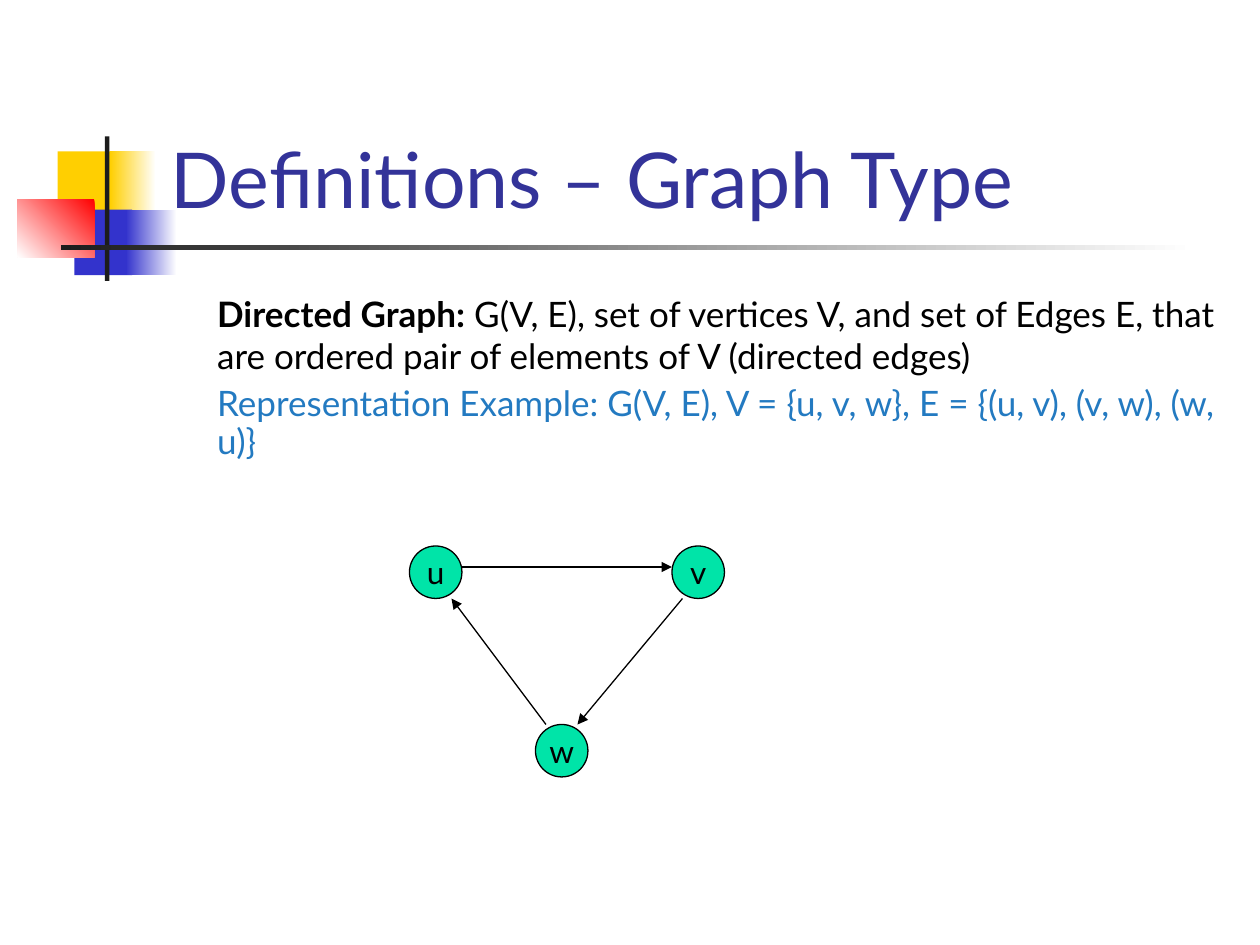
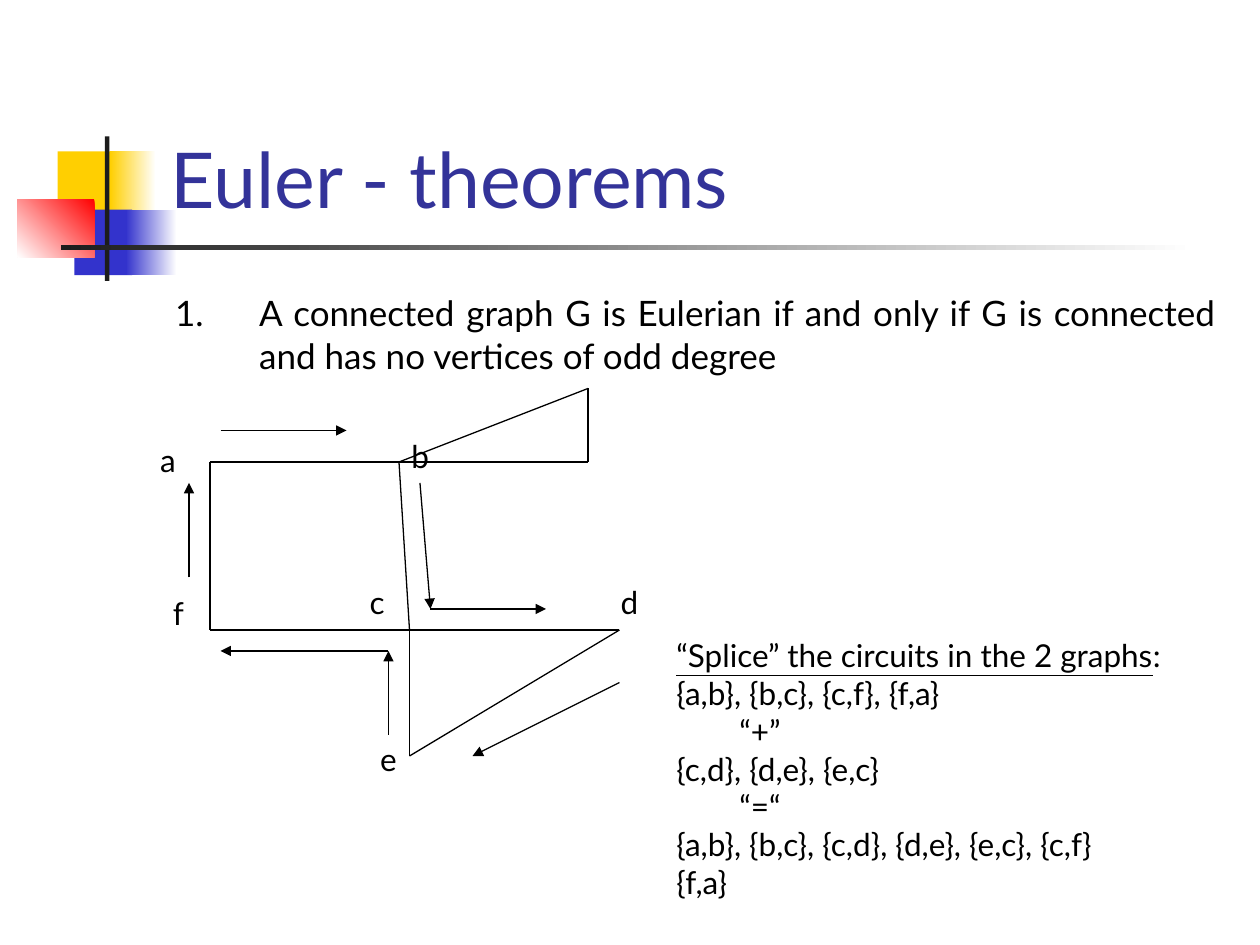
import dataclasses

import pptx
import pptx.dml.color
import pptx.enum.shapes
import pptx.enum.text
import pptx.oxml.ns
import pptx.util
from lxml import etree

Pt = pptx.util.Pt
SHAPE = pptx.enum.shapes.MSO_SHAPE
ALIGN = pptx.enum.text.PP_ALIGN
ANCHOR = pptx.enum.text.MSO_ANCHOR


@dataclasses.dataclass(frozen=True)
class Theme:
    font: str = "Lato"
    white: str = "FFFFFF"
    black: str = "000000"
    dark: str = "1C1C1C"
    gold: str = "FFCF01"
    blue: str = "3333CC"
    red: str = "FF0000"
    title: str = "333399"
    sample: str = "237AC1"
    node: str = "00E4A8"
    head: int = 44
    tall: int = 32
    lead: int = 24
    body: int = 20
    small: int = 18
    line: float = 0.75


THEME = Theme()


def rgb(code):
    return pptx.dml.color.RGBColor.from_string(code)


def assign(target, values):
    for name, value in values.items():
        setattr(target, name, value)


def add_run(para, text, size, color=THEME.black, **extra):
    run = para.add_run()
    run.text = text
    assign(run.font, {"name": THEME.font, "size": Pt(size), **extra})
    run.font.color.rgb = rgb(color)


def hang(para, depth):
    """Indent a paragraph, with its first line starting at the margin."""
    props = para._p.get_or_add_pPr()
    props.set("marL", str(Pt(depth)))
    props.set("indent", str(-Pt(depth)))


def add_text(slide, box, paras, depth=0, wrap=True, anchor=ANCHOR.TOP, **form):
    """Add a text box; each paragraph is a list of (text, size, color, extra) runs."""
    frame = slide.shapes.add_textbox(*map(Pt, box)).text_frame
    assign(frame, {"word_wrap": wrap, "vertical_anchor": anchor})
    for index, runs in enumerate(paras):
        para = frame.add_paragraph() if index else frame.paragraphs[0]
        if depth:
            hang(para, depth)
            if index:
                para.space_before = Pt(5)
        assign(para, form)
        for text, size, color, extra in runs:
            add_run(para, text, size, color, **extra)


def plain(text, size, color=THEME.black, **extra):
    return text, size, color, extra


def add_rect(slide, box, colors, angle=180):
    """Add a borderless block, solid for one colour and fading for two."""
    rect = slide.shapes.add_shape(SHAPE.RECTANGLE, *map(Pt, box))
    rect.shadow.inherit = False
    rect.line.fill.background()
    if len(colors) == 1:
        rect.fill.solid()
        rect.fill.fore_color.rgb = rgb(colors[0])
        return
    rect.fill.gradient()
    rect.fill.gradient_angle = angle
    for stop, color, place in zip(rect.fill.gradient_stops, colors, (0, 1)):
        stop.color.rgb = rgb(color)
        stop.position = place


def add_line(slide, start, end, arrow=False):
    kind = pptx.enum.shapes.MSO_CONNECTOR.STRAIGHT
    line = slide.shapes.add_connector(kind, *map(Pt, (*start, *end)))
    line.line.width = Pt(THEME.line)
    line.line.color.rgb = rgb(THEME.black)
    if arrow:
        tail = etree.SubElement(line.line._get_or_add_ln(), pptx.oxml.ns.qn("a:tailEnd"))
        tail.set("type", "triangle")
    etree.SubElement(line._element.spPr, pptx.oxml.ns.qn("a:effectLst"))


def add_node(slide, name, left, top):
    node = slide.shapes.add_shape(SHAPE.OVAL, *map(Pt, (left, top, 30, 30)))
    node.shadow.inherit = False
    node.fill.solid()
    node.fill.fore_color.rgb = rgb(THEME.node)
    node.line.color.rgb = rgb(THEME.black)
    node.line.width = Pt(THEME.line)
    assign(node.text_frame, {"word_wrap": False, "vertical_anchor": ANCHOR.MIDDLE})
    para = node.text_frame.paragraphs[0]
    para.alignment = ALIGN.CENTER
    add_run(para, name, THEME.small)


def add_label(slide, name, mid_x, mid_y):
    box = (mid_x - 12, mid_y - 14.4, 24, 28.8)
    add_text(slide, box, [[plain(name, THEME.small)]], wrap=False, alignment=ALIGN.CENTER)


def add_base(deck, title):
    """Add a blank slide with the shared blocks, rules and title."""
    slide = deck.slides.add_slide(deck.slide_layouts[6])
    add_rect(slide, (33, 86.5, 34.5, 37.5), [THEME.gold])
    add_rect(slide, (63, 86.5, 26, 37.5), [THEME.white, THEME.gold])
    add_rect(slide, (42.5, 119.75, 33, 37.5), [THEME.blue])
    add_rect(slide, (72, 119.75, 29, 37.5), [THEME.white, THEME.blue])
    add_rect(slide, (10, 113.75, 44, 33.25), [THEME.red, THEME.white], 225)
    add_rect(slide, (60, 78, 2.5, 82.5), [THEME.dark])
    add_rect(slide, (34.75, 140.25, 648, 2.5), [THEME.white, THEME.dark])
    add_text(slide, (90.5, 16.5, 613.5, 115),
             [[plain(title, THEME.head, THEME.title)]], anchor=ANCHOR.BOTTOM)
    return slide


def build_type(deck):
    slide = add_base(deck, "Definitions – Graph Type")
    add_text(slide, (90, 156, 612, 138), [
        [plain("\t", THEME.tall),
         plain("Directed Graph:", THEME.body, bold=True),
         plain(" G(V, E), set of vertices V, and set of Edges E, that are "
               "ordered pair of elements of V (directed edges)", THEME.body)],
        [plain("\tRepresentation Example: G(V, E), V = {u, v, w}, "
               "E = {(u, v), (v, w), (w, u)}", THEME.body, THEME.sample)],
    ], depth=27, line_spacing=0.9)
    for name, left, top in (("u", 234, 312), ("w", 306, 414), ("v", 384, 312)):
        add_node(slide, name, left, top)
    for start, end in (((264, 324), (384, 324)),
                       ((390, 342), (330, 414)),
                       ((312, 414), (258, 342))):
        add_line(slide, start, end, arrow=True)


def build_euler(deck):
    slide = add_base(deck, "Euler - theorems")
    add_text(slide, (93, 159, 609, 75), [
        [plain("1.", THEME.body), plain("\t", THEME.lead),
         plain("A connected graph G is Eulerian if and only if G is connected "
               "and has no vertices of odd degree", THEME.body)],
    ], depth=48, alignment=ALIGN.JUSTIFY)

    points = {"a": (120, 264), "b": (228, 264), "c": (234, 360), "d": (354, 360),
              "e": (234, 432), "f": (120, 360), "g": (336, 264), "h": (336, 222)}
    for start, end in "ab af fc bc cd ce ed bg gh hb".split():
        add_line(slide, points[start], points[end])

    labels = {"a": (96, 263), "b": (240, 260.5), "c": (215.5, 344),
              "d": (359.5, 344), "e": (222, 434), "f": (102, 350.5)}
    for name, center in labels.items():
        add_label(slide, name, *center)

    for start, end in (((126, 246), (198, 246)), ((240, 276), (246, 348)),
                       ((246, 348), (312, 348)), ((354, 390), (270, 432)),
                       ((222, 420), (222, 372)), ((222, 372), (126, 372)),
                       ((108, 330), (108, 276))):
        add_line(slide, start, end, arrow=True)

    splice = ("{a,b}, {b,c}, {c,f}, {f,a}", "\t“+”", "{c,d}, {d,e}, {e,c}", "\t“=“",
              "{a,b}, {b,c}, {c,d}, {d,e}, {e,c}, {c,f}", "{f,a}")
    add_text(slide, (379.5, 360, 310, 158.5), [
        [plain("“Splice” the circuits in the 2 graphs", THEME.small, underline=True),
         plain(":", THEME.small)],
        *([plain(row, THEME.small)] for row in splice),
    ])


def main():
    deck = pptx.Presentation()
    assign(deck, {"slide_width": Pt(720), "slide_height": Pt(540)})
    build_type(deck)
    build_euler(deck)
    deck.save("out.pptx")


if __name__ == "__main__":
    main()
